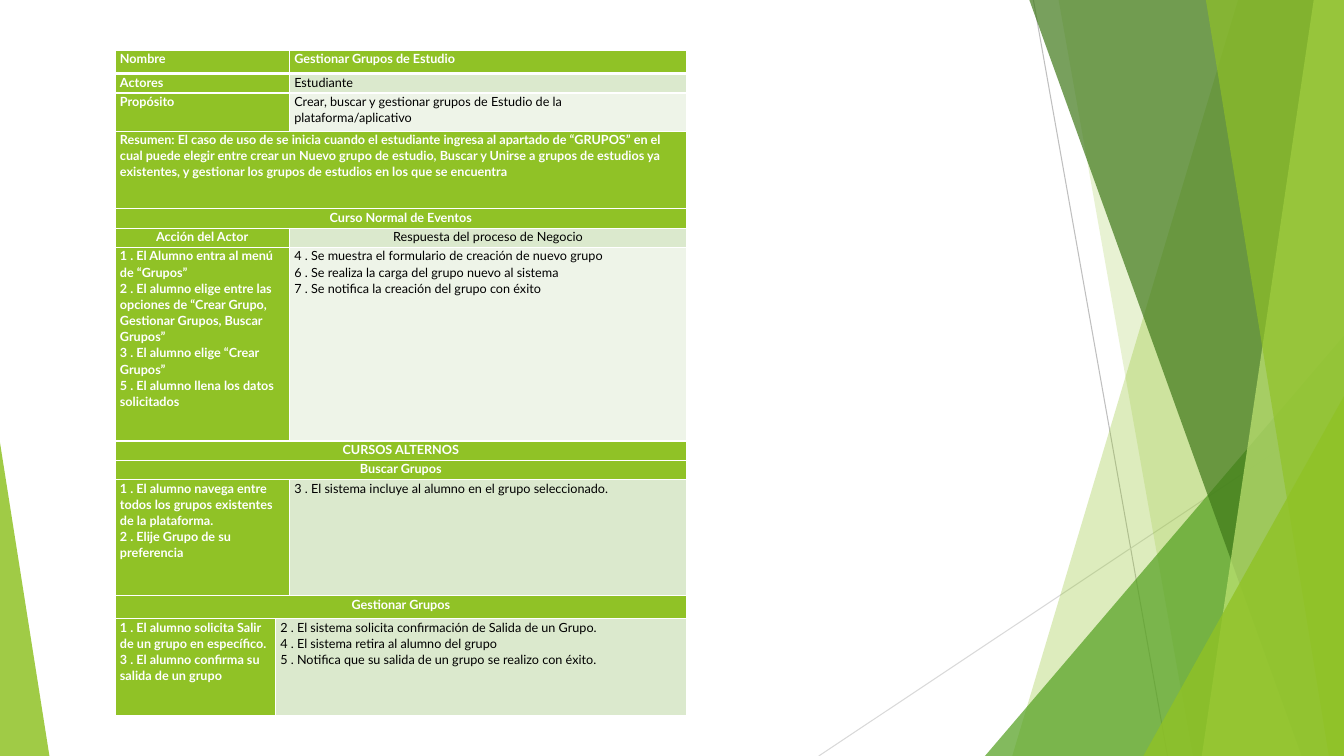
from dataclasses import dataclass

from lxml.etree import SubElement
from pptx import Presentation
from pptx.dml.color import RGBColor
from pptx.enum.shapes import MSO_CONNECTOR, MSO_SHAPE
from pptx.enum.text import PP_ALIGN
from pptx.oxml import parse_xml
from pptx.oxml.ns import nsdecls, qn
from pptx.util import Inches, Pt

WIDTH, HEIGHT = Inches(13.33), Inches(7.5)
FONT = "Lato"
COLORS = {
    "lime": "90C226", "green": "54A021", "forest": "3F7819", "pale": "C0E474",
    "tint": "DBE9CD", "mist": "EEF4E8", "white": "FFFFFF", "black": "000000",
    "gray": "BFBFBF", "silver": "D9D9D9",
}


@dataclass
class Ray:
    x1: float
    y1: float
    x2: float
    y2: float
    color: str


@dataclass
class Band:
    top: float
    bottom: float
    color: str
    opacity: int


@dataclass
class Wedge:
    left: float
    top: float
    width: float
    peak: int
    color: str
    opacity: int


@dataclass
class Entry:
    text: str
    span: int
    fill: str = "lime"
    align: PP_ALIGN = PP_ALIGN.LEFT


@dataclass
class Row:
    height: float
    entries: list[Entry]


def title(text: str) -> list[Entry]:
    return [Entry(text, 3, align=PP_ALIGN.CENTER)]


def pair(left: str, right: str, fill: str, span: int = 2,
         align: PP_ALIGN = PP_ALIGN.LEFT) -> list[Entry]:
    return [Entry(left, span, align=align), Entry(right, 3 - span, fill, align)]


RAYS = [Ray(76.89, 0, 86.87, 100, "gray"), Ray(100, 53.73, 60.92, 100, "silver")]
DECOR = [
    Band(92.12, 75.32, "lime", 30),
    Band(78.77, 88.75, "lime", 20),
    Wedge(73.29, 44.4, 26.71, 1, "green", 72),
    Band(76.59, 96.85, "forest", 70),
    Band(97.75, 89.42, "pale", 70),
    Band(89.72, 98.87, "lime", 65),
    Wedge(85.07, 52.4, 14.93, 1, "lime", 80),
    Wedge(0, 58.53, 3.68, 0, "lime", 85),
]
TABLE_LEFT, TABLE_TOP = 8.55, 6.67
COLUMNS = [11.93, 0.98, 29.56]
ROWS = [
    Row(3.07, pair("Nombre", "Gestionar Grupos de Estudio", "lime")),
    Row(2.56, pair("Actores", "Estudiante", "tint")),
    Row(5.07, pair("Propósito", "Crear, buscar y gestionar grupos de Estudio de la "
                   "plataforma/aplicativo", "mist")),
    Row(10.27, [Entry(
        "Resumen: El caso de uso de se inicia cuando el estudiante ingresa al apartado de "
        "“GRUPOS” en el cual puede elegir entre crear un Nuevo grupo de estudio, Buscar y "
        "Unirse a grupos de estudios ya existentes, y gestionar los grupos de estudios en "
        "los que se encuentra", 3)]),
    Row(2.56, title("Curso Normal de Eventos")),
    Row(2.56, pair("Acción del Actor", "Respuesta del proceso de Negocio", "tint",
                   align=PP_ALIGN.CENTER)),
    Row(25.6, pair(
        "1 . El Alumno entra al menú de “Grupos”\n"
        "2 . El alumno elige entre las opciones de “Crear Grupo, Gestionar Grupos, "
        "Buscar Grupos”\n"
        "3 . El alumno elige “Crear Grupos”\n"
        "5 . El alumno llena los datos solicitados",
        "4 . Se muestra el formulario de creación de nuevo grupo\n"
        "6 . Se realiza la carga del grupo nuevo al sistema\n"
        "7 . Se notifica la creación del grupo con éxito", "mist")),
    Row(2.56, title("CURSOS ALTERNOS")),
    Row(2.56, title("Buscar Grupos")),
    Row(15.33, pair(
        "1 . El alumno navega entre todos los grupos existentes de la plataforma.\n"
        "2 . Elije Grupo de su preferencia",
        "3 . El sistema incluye al alumno en el grupo seleccionado.", "tint")),
    Row(3.07, title("Gestionar Grupos")),
    Row(12.8, pair(
        "1 . El alumno solicita Salir de un grupo en específico.\n"
        "3 . El alumno confirma su salida de un grupo",
        "2 . El sistema solicita confirmación de Salida de un Grupo.\n"
        "4 . El sistema retira al alumno del grupo\n"
        "5 . Notifica que su salida de un grupo se realizo con éxito.", "tint", span=1)),
]


def px(share: float) -> int:
    return round(WIDTH * share / 100)


def py(share: float) -> int:
    return round(HEIGHT * share / 100)


def rgb(name: str) -> RGBColor:
    return RGBColor.from_string(COLORS[name])


def write(tf, text: str, *, color: str, bold: bool, align: PP_ALIGN, size: float = 9) -> None:
    for i, line in enumerate(text.split("\n")):
        p = tf.paragraphs[0] if i == 0 else tf.add_paragraph()
        p.alignment, p.line_spacing = align, 1.07
        r = p.add_run()
        r.text = line
        r.font.name, r.font.size, r.font.bold = FONT, Pt(size), bold
        r.font.color.rgb = rgb(color)


def draw_ray(s, ray: Ray) -> None:
    line = s.shapes.add_connector(MSO_CONNECTOR.STRAIGHT, px(ray.x1), py(ray.y1),
                                  px(ray.x2), py(ray.y2))
    line.line.color.rgb = rgb(ray.color)
    line.line.width = Pt(0.75)
    SubElement(line._element.spPr, qn("a:effectLst"))


def draw_decor(s, part: Band | Wedge) -> None:
    if isinstance(part, Band):
        builder = s.shapes.build_freeform(px(part.top), 0, scale=1.0)
        builder.add_line_segments([(WIDTH, 0), (WIDTH, HEIGHT), (px(part.bottom), HEIGHT)])
        sp = builder.convert_to_shape()
    else:
        sp = s.shapes.add_shape(MSO_SHAPE.ISOSCELES_TRIANGLE, px(part.left), py(part.top),
                                px(part.width), py(100 - part.top))
        sp.adjustments[0] = part.peak
    sp.shadow.inherit = False
    sp.line.fill.background()
    sp.fill.solid()
    sp.fill.fore_color.rgb = rgb(part.color)
    tint = sp._element.spPr.find(qn("a:solidFill"))[0]
    SubElement(tint, qn("a:alpha")).set("val", str(part.opacity * 1000))


def set_borders(cell, row: int) -> None:
    widths = {"L": 1, "R": 1, "T": 3 if row == 1 else 1, "B": 3 if row == 0 else 1}
    for i, (side, width) in enumerate(widths.items()):
        cell._tc.get_or_add_tcPr().insert(i, parse_xml(
            f'<a:ln{side} {nsdecls("a")} w="{Pt(width)}"><a:solidFill>'
            f'<a:srgbClr val="{COLORS["white"]}"/></a:solidFill></a:ln{side}>'))


def draw_table(s) -> None:
    frame = s.shapes.add_table(len(ROWS), len(COLUMNS), px(TABLE_LEFT), py(TABLE_TOP),
                               px(sum(COLUMNS)), py(sum(row.height for row in ROWS)))
    table = frame.table
    table.first_row = table.horz_banding = False
    for column, width in zip(table.columns, COLUMNS):
        column.width = px(width)
    for i, row in enumerate(ROWS):
        table.rows[i].height = py(row.height)
        start = 0
        for entry in row.entries:
            cell, end = table.cell(i, start), start + entry.span
            if entry.span > 1:
                cell.merge(table.cell(i, end - 1))
            for j in range(start, end):
                part = table.cell(i, j)
                part.margin_left = part.margin_right = Inches(0.05)
                part.margin_top = part.margin_bottom = 0
                part.fill.solid()
                part.fill.fore_color.rgb = rgb(entry.fill)
                set_borders(part, i)
            strong = entry.fill == "lime"
            write(cell.text_frame, entry.text, color="white" if strong else "black",
                  bold=strong, align=entry.align)
            start = end


def main() -> None:
    prs = Presentation()
    prs.slide_width, prs.slide_height = WIDTH, HEIGHT
    s = prs.slides.add_slide(prs.slide_layouts[6])
    for ray in RAYS:
        draw_ray(s, ray)
    for part in DECOR:
        draw_decor(s, part)
    draw_table(s)
    prs.save("out.pptx")


if __name__ == "__main__":
    main()
